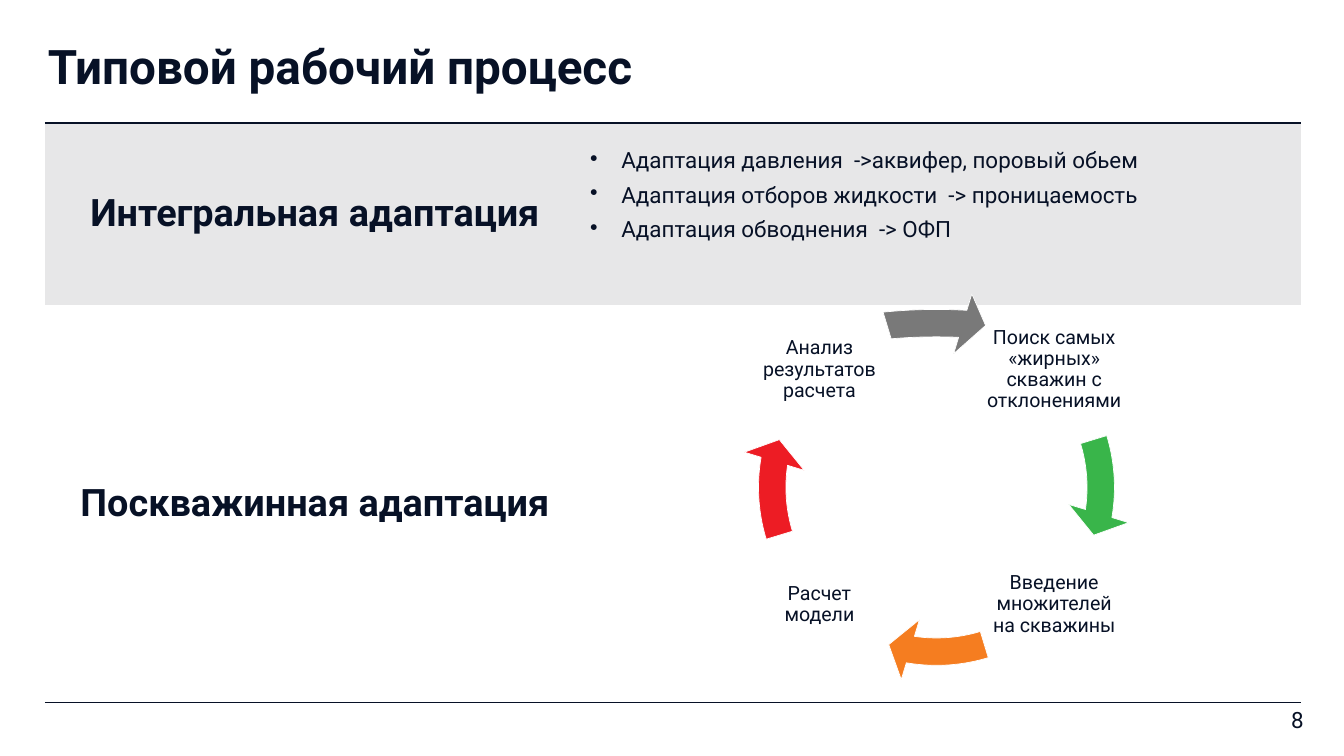
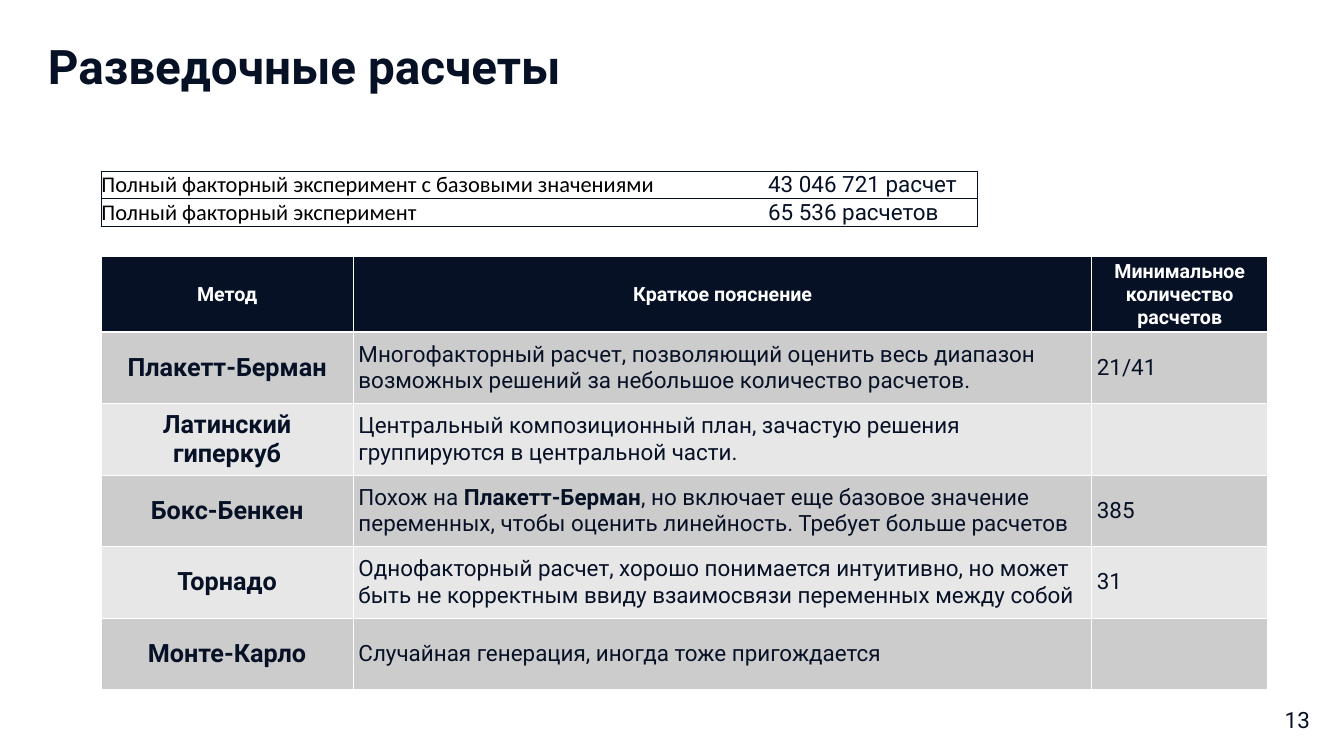
from pptx import Presentation
from pptx.dml.color import RGBColor
from pptx.enum.shapes import MSO_SHAPE
from pptx.enum.text import MSO_ANCHOR, PP_ALIGN
from pptx.oxml.ns import qn
from pptx.util import Cm, Pt
from lxml import etree

NAVY = RGBColor(0x07, 0x11, 0x26)
WHITE = RGBColor(0xFF, 0xFF, 0xFF)
BLACK = RGBColor(0x00, 0x00, 0x00)
LIGHT = RGBColor(0xE7, 0xE7, 0xE8)
SILVER = RGBColor(0xCC, 0xCC, 0xCD)
GREEN = RGBColor(0x39, 0xB5, 0x4A)
ORANGE = RGBColor(0xF5, 0x7D, 0x20)
RED = RGBColor(0xED, 0x1C, 0x24)
GRAY = RGBColor(0x79, 0x79, 0x79)
FONT = "Roboto"
LEFT, CENTER = PP_ALIGN.LEFT, PP_ALIGN.CENTER
TOP, MIDDLE, BOTTOM = MSO_ANCHOR.TOP, MSO_ANCHOR.MIDDLE, MSO_ANCHOR.BOTTOM
CIRCULAR_ARROW = MSO_SHAPE.CIRCULAR_ARROW


def write(p, text, size, bold=False, align=LEFT, color=NAVY, font=FONT):
    p.alignment = align
    for i, part in enumerate(text.split("**")):
        r = p.add_run()
        r.text = part
        r.font.size = Pt(size)
        r.font.bold = bold or i % 2 == 1
        r.font.name = font
        r.font.color.rgb = color


def format_cell(cell, fill, borders, anchor=MIDDLE):
    tcPr = cell._tc.get_or_add_tcPr()
    for i, side in enumerate("LRTB"):
        ln = etree.Element(qn(f"a:ln{side}"))
        if side in borders:
            color, width = borders[side]
            ln.set("w", str(Pt(width)))
            solid = etree.SubElement(ln, qn("a:solidFill"))
            etree.SubElement(solid, qn("a:srgbClr")).set("val", str(color))
        else:
            etree.SubElement(ln, qn("a:noFill"))
        tcPr.insert(i, ln)
    cell.fill.solid()
    cell.fill.fore_color.rgb = fill
    cell.vertical_anchor = anchor


prs = Presentation()
prs.slide_width = Cm(67.73)
prs.slide_height = Cm(38.1)
workflow = prs.slides.add_slide(prs.slide_layouts[6])
methods = prs.slides.add_slide(prs.slide_layouts[6])

tables = []
for s, x, y, cols, rows in [
    (workflow, 2.26, 6.2, [27.23, 36.07], [9.17, 20.02]),
    (methods, 5.08, 12.93, [12.73, 37.21, 8.86], [3.68] + [3.6] * 5),
    (methods, 5.08, 8.61, [33.6, 10.59], [1.38] * 2),
]:
    tbl = s.shapes.add_table(
        len(rows), len(cols), Cm(x), Cm(y), Cm(sum(cols)), Cm(sum(rows))
    ).table
    tbl.first_row = False
    tbl.horz_banding = False
    for column, width in zip(tbl.columns, cols):
        column.width = Cm(width)
    for row, height in zip(tbl.rows, rows):
        row.height = Cm(height)
    tables.append(tbl)
stages, comparison, totals = tables

for i, (name, fill, side) in enumerate([
    ("Интегральная адаптация", LIGHT, "T"),
    ("Поскважинная адаптация", WHITE, "B"),
]):
    for j in range(2):
        format_cell(stages.cell(i, j), fill, {side: (NAVY, 2)})
    write(stages.cell(i, 0).text_frame.paragraphs[0], name, 54, True, CENTER)

cell = stages.cell(0, 1)
cell.margin_bottom = Cm(2)
tf = cell.text_frame
for i, text in enumerate([
    "Адаптация давления  ->аквифер, поровый обьем",
    "Адаптация отборов жидкости  -> проницаемость",
    "Адаптация обводнения  -> ОФП",
]):
    p = tf.add_paragraph() if i else tf.paragraphs[0]
    pPr = p._p.get_or_add_pPr()
    pPr.set("marL", str(Cm(1.57)))
    pPr.set("indent", str(-Cm(1.57)))
    etree.SubElement(pPr, qn("a:buChar")).set("char", "•")
    p.space_after = Pt(12)
    write(p, text, 32)

method_rows = [
    ("Метод", "Краткое пояснение", "Минимальное количество расчетов"),
    ("Плакетт-Берман",
     "Многофакторный расчет, позволяющий оценить весь диапазон возможных "
     "решений за небольшое количество расчетов.", "21/41"),
    ("Латинский гиперкуб",
     "Центральный композиционный план, зачастую решения группируются "
     "в центральной части.", ""),
    ("Бокс-Бенкен",
     "Похож на **Плакетт-Берман**, но включает еще базовое значение "
     "переменных, чтобы оценить линейность. Требует больше расчетов", "385"),
    ("Торнадо",
     "Однофакторный расчет, хорошо понимается интуитивно, но может быть "
     "не корректным ввиду взаимосвязи переменных между собой", "31"),
    ("Монте-Карло", "Случайная генерация, иногда тоже пригождается", ""),
]
for i, values in enumerate(method_rows):
    for j, text in enumerate(values):
        cell = comparison.cell(i, j)
        p = cell.text_frame.paragraphs[0]
        borders = dict.fromkeys("LRTB", (WHITE, 1))
        if i == 0:
            borders["B"] = (WHITE, 3)
            fill = NAVY
            write(p, text, 28, True, CENTER, WHITE)
        else:
            if i == 1:
                borders["T"] = (WHITE, 3)
            fill = SILVER if i % 2 else LIGHT
            if j == 0:
                write(p, text, 36, True, CENTER)
            elif text:
                write(p, text, 32)
        format_cell(cell, fill, borders)

for i, (name, count) in enumerate([
    ("Полный факторный эксперимент с базовыми значениями", "43 046 721 расчет"),
    ("Полный факторный эксперимент", "65 536 расчетов"),
]):
    for j, (text, side, color, font) in enumerate([
        (name, "L", BLACK, "Calibri"), (count, "R", NAVY, FONT),
    ]):
        cell = totals.cell(i, j)
        format_cell(cell, WHITE, dict.fromkeys("TB" + side, (NAVY, 1)), BOTTOM)
        cell.margin_left = cell.margin_right = cell.margin_top = Cm(0.03)
        cell.margin_bottom = 0
        write(cell.text_frame.paragraphs[0], text, 32, color=color, font=font)

texts = []
for s, title, number in [
    (workflow, "Типовой рабочий процесс", "8"),
    (methods, "Разведочные расчеты", "13"),
]:
    texts.append((s, (2.26, 2.06, 63.3, 2.9), title, 68, True, LEFT, TOP, 0.15, 0.9))
    texts.append((s, (63.88, 35, 3, 2.49), number, 32, False, CENTER, MIDDLE, 0.15, 1))

steps = [
    ("Поиск самых «жирных» скважин с отклонениями", 49.63, 15.14, GREEN),
    ("Введение множителей на скважины", 49.63, 26.97, ORANGE),
    ("Расчет модели", 37.8, 26.97, RED),
    ("Анализ результатов расчета", 37.8, 15.14, GRAY),
]
for i, (text, x, y, color) in enumerate(steps):
    texts.append((workflow, (x, y, 6.99, 6.99), text, 28, False, CENTER, MIDDLE, 0.1, 0.9))
    left, width = (30.86, 32.66) if color == GRAY else (37.34, 19.71)
    sp = workflow.shapes.add_shape(
        CIRCULAR_ARROW, Cm(left), Cm(14.71), Cm(width), Cm(19.71)
    )
    angles = [0.07, 4.65, 5.49 + 54 * i, (205.85 + 54 * i) % 216, 0.08]
    for k, value in enumerate(angles):
        sp.adjustments[k] = value
    sp.shadow.inherit = False
    sp.fill.solid()
    sp.fill.fore_color.rgb = color
    sp.line.color.rgb = WHITE
    sp.line.width = Pt(1)

for s, box, text, size, bold, align, anchor, inset, spacing in texts:
    tf = s.shapes.add_textbox(*[Cm(v) for v in box]).text_frame
    tf.word_wrap = True
    tf.vertical_anchor = anchor
    tf.margin_left = tf.margin_right = Cm(inset)
    tf.margin_top = tf.margin_bottom = Cm(inset)
    p = tf.paragraphs[0]
    p.line_spacing = spacing
    write(p, text, size, bold, align)

prs.save("out.pptx")
